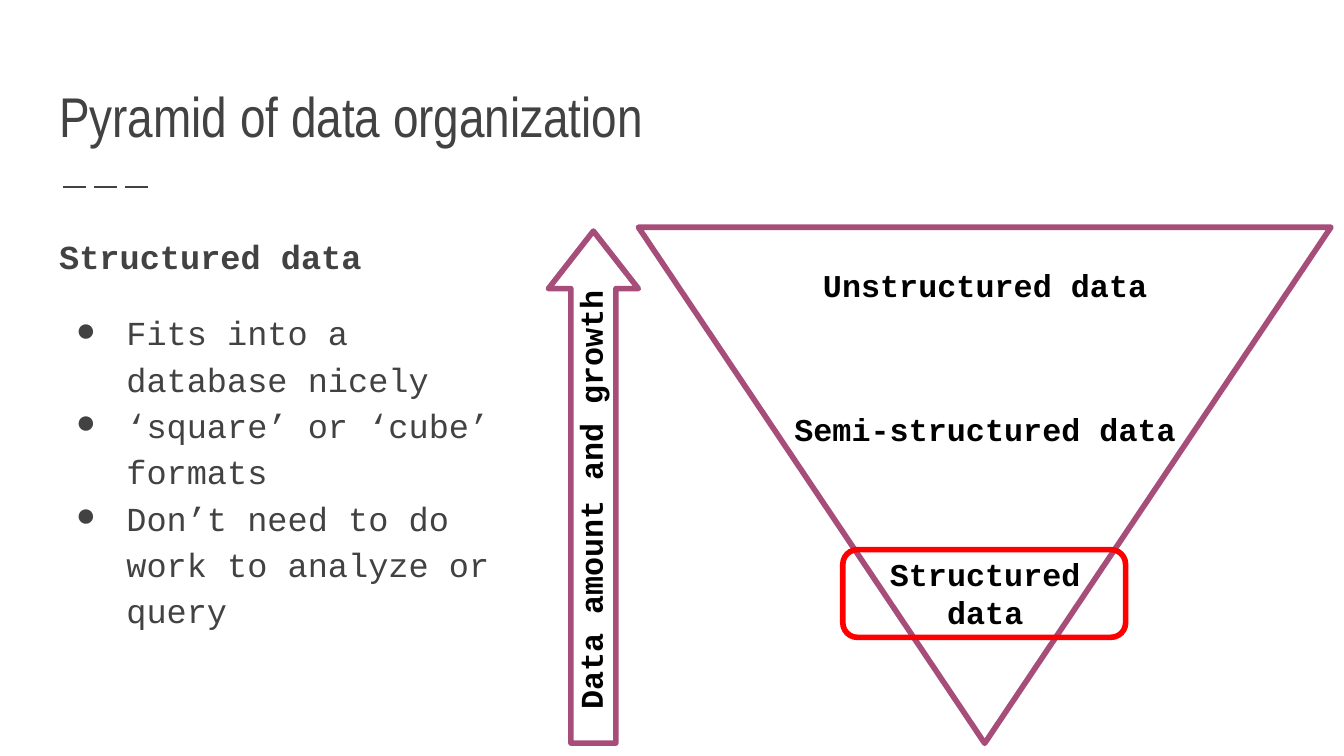
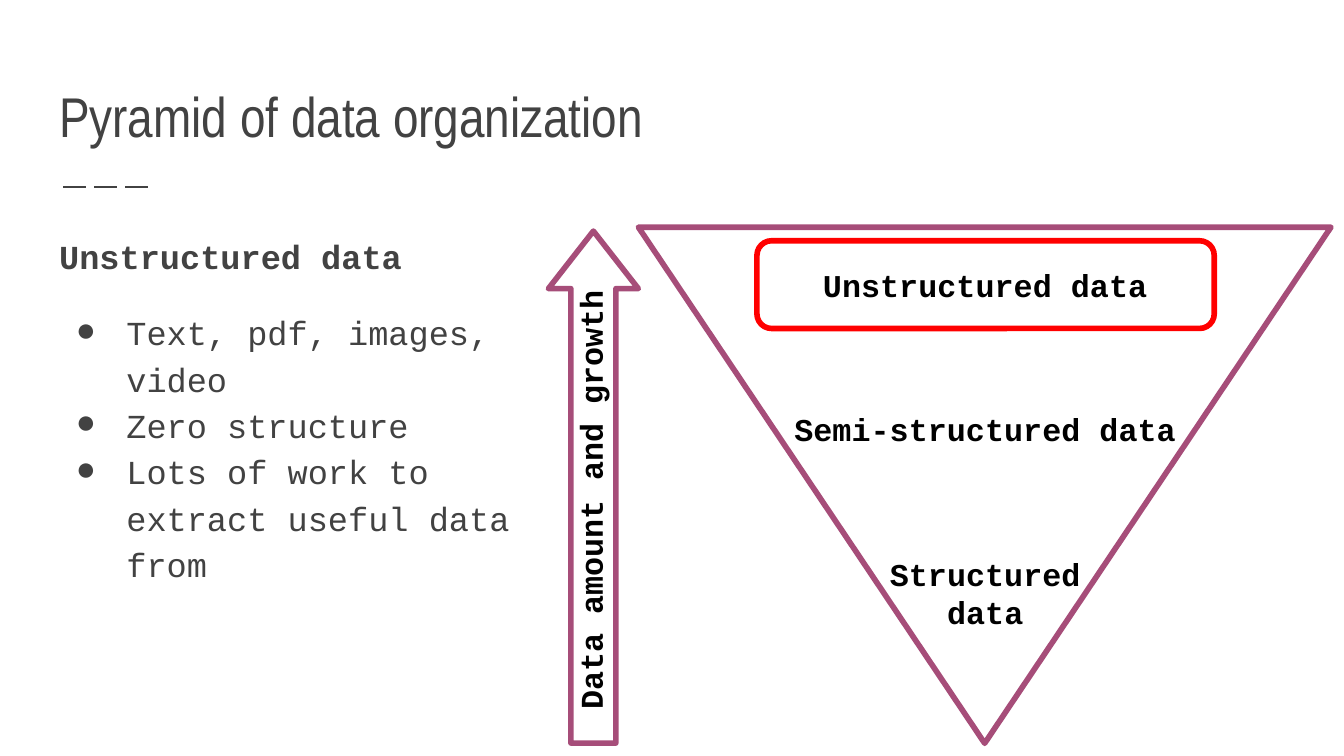
from lxml.etree import SubElement
from pptx import Presentation
from pptx.dml.color import RGBColor
from pptx.enum.dml import MSO_LINE
from pptx.enum.shapes import MSO_CONNECTOR, MSO_SHAPE
from pptx.enum.text import MSO_ANCHOR, MSO_AUTO_SIZE, PP_ALIGN
from pptx.oxml.ns import qn
from pptx.util import Pt

GREY = RGBColor(0x42, 0x42, 0x42)
BLACK = RGBColor(0x00, 0x00, 0x00)
PLUM = RGBColor(0xA6, 0x4D, 0x79)
RED = RGBColor(0xFF, 0x00, 0x00)
TITLE_FONT = "Arial Narrow"
BODY_FONT = "Courier New"
INSET = Pt(7.2)

# Heading, bullets, and the highlight box (left, top, width, height)
SLIDES = [
    ("Structured data",
     ["Fits into a database nicely",
      "‘square’ or ‘cube’ formats",
      "Don’t need to do work to analyze or query"],
     (451.5, 294.5, 151.5, 47)),
    ("Unstructured data",
     ["Text, pdf, images, video",
      "Zero structure",
      "Lots of work to extract useful data from"],
     (405.5, 129, 245, 47)),
]


def write_text(shape, paragraph, text, size, font_name, color, bold):
    frame = shape.text_frame
    frame.word_wrap = True
    frame.auto_size = MSO_AUTO_SIZE.NONE
    frame.margin_left = frame.margin_right = INSET
    frame.margin_top = frame.margin_bottom = INSET
    run = paragraph.add_run()
    run.text = text
    run.font.size = Pt(size)
    run.font.name = font_name
    run.font.color.rgb = color
    run.font.bold = bold


def add_outline(shapes, kind, box, color):
    shape = shapes.add_shape(kind, *[Pt(value) for value in box])
    shape.shadow.inherit = False
    shape.fill.background()
    shape.line.color.rgb = color
    shape.line.width = Pt(3)
    return shape


presentation = Presentation()
presentation.slide_width = Pt(720)
presentation.slide_height = Pt(405)

for heading, bullets, highlight_box in SLIDES:
    slide = presentation.slides.add_slide(presentation.slide_layouts[1])

    # Dashed rule under the title
    rule = slide.shapes.add_connector(
        MSO_CONNECTOR.STRAIGHT, Pt(34), Pt(100.25), Pt(82), Pt(100.25))
    rule.line.color.rgb = GREY
    rule.line.width = Pt(1.5)
    rule.line.dash_style = MSO_LINE.LONG_DASH
    SubElement(rule._element.spPr, qn("a:effectLst"))

    # Title
    title = slide.shapes.title
    title.left, title.top, title.width, title.height = Pt(24.5), Pt(29.5), Pt(671), Pt(57.6)
    title.text_frame.vertical_anchor = MSO_ANCHOR.BOTTOM
    paragraph = title.text_frame.paragraphs[0]
    paragraph.alignment = PP_ALIGN.LEFT
    write_text(title, paragraph, "Pyramid of data organization", 30, TITLE_FONT, GREY, False)

    # Heading and bullet list
    body = slide.placeholders[1]
    body.left, body.top, body.width, body.height = Pt(24.5), Pt(116), Pt(258.5), Pt(244)
    body.text_frame.vertical_anchor = MSO_ANCHOR.TOP
    for index, text in enumerate([heading] + bullets):
        is_heading = index == 0
        paragraph = body.text_frame.paragraphs[0] if is_heading else body.text_frame.add_paragraph()
        properties = paragraph._p.get_or_add_pPr()
        properties.set("marL", str(0 if is_heading else Pt(36)))
        properties.set("indent", str(0 if is_heading else Pt(-27)))
        if is_heading:
            SubElement(properties, qn("a:buNone"))
        else:
            bullet_color = SubElement(properties, qn("a:buClr"))
            SubElement(bullet_color, qn("a:srgbClr"), val=str(GREY))
            SubElement(properties, qn("a:buFont"), typeface=BODY_FONT)
            SubElement(properties, qn("a:buChar"), char="●")
        paragraph.line_spacing = 1.15
        paragraph.space_before = Pt(16 if index == 1 else 0)
        paragraph.space_after = Pt(0)
        write_text(body, paragraph, text, 18, BODY_FONT, GREY, is_heading)

    # Inverted pyramid and growth arrow
    pyramid = add_outline(slide.shapes, MSO_SHAPE.ISOSCELES_TRIANGLE, (342, 121.7, 371, 276.5), PLUM)
    pyramid.rotation = 180
    growth = slide.shapes.add_group_shape()
    arrow = add_outline(growth.shapes, MSO_SHAPE.UP_ARROW, (293.8, 123.8, 48.2, 274.3), PLUM)
    arrow.adjustments[0] = 0.5
    arrow.adjustments[1] = 0.64

    # Labels
    for shapes, text, box, rotation in [
        (slide.shapes, "Unstructured data", (401.8, 135.4, 252, 30.2), 0),
        (slide.shapes, "Structured data", (463.7, 290.2, 128.2, 46.8), 0),
        (slide.shapes, "Semi-structured data", (401.8, 212.4, 252, 30.2), 0),
        (growth.shapes, "Data amount and growth", (187.9, 252.7, 252, 30.2), 270),
    ]:
        label = shapes.add_textbox(*[Pt(value) for value in box])
        label.rotation = rotation
        paragraph = label.text_frame.paragraphs[0]
        paragraph.alignment = PP_ALIGN.CENTER
        write_text(label, paragraph, text, 17, BODY_FONT, BLACK, True)

    # Highlight around the level in focus
    add_outline(slide.shapes, MSO_SHAPE.ROUNDED_RECTANGLE, highlight_box, RED)

presentation.save("out.pptx")
